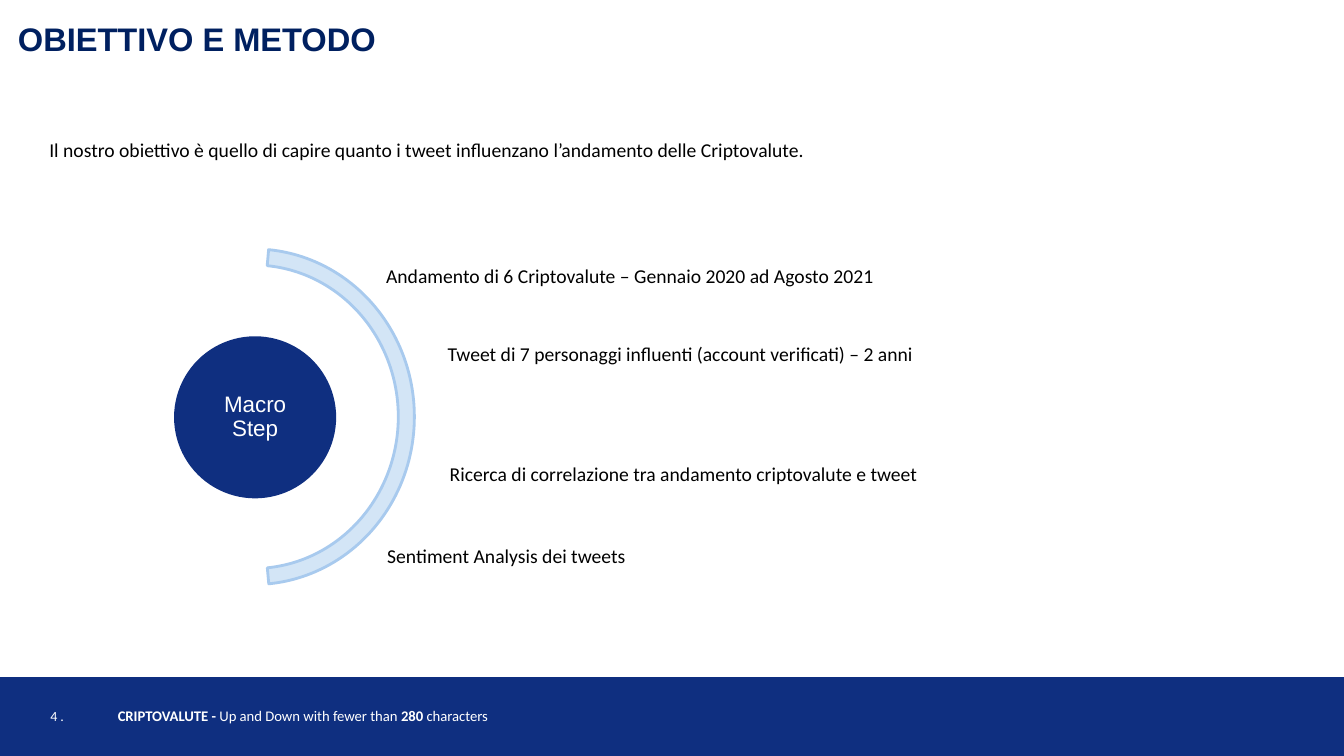
from pptx import Presentation, util as u
from pptx.dml.color import RGBColor
from pptx.enum import shapes, text

NAVY, WHITE, BLACK = "0F2F80", "FFFFFF", "000000"
MIDDLE, TOP = text.MSO_ANCHOR.MIDDLE, text.MSO_ANCHOR.TOP
LEFT, CENTER = text.PP_ALIGN.LEFT, text.PP_ALIGN.CENTER

deck = Presentation()
deck.slide_width, deck.slide_height = u.Inches(13.33), u.Inches(7.5)
slide = deck.slides.add_slide(deck.slide_layouts[6])


def color(value):
    return RGBColor.from_string(value)


def write(place, parts, size, ink=BLACK, font="Calibri", anchor=MIDDLE,
          align=LEFT, spacing=1.0, insets=(0.1, 0.05)):
    box = slide.shapes.add_textbox(*map(u.Inches, place))
    side, edge = map(u.Inches, insets)
    frame_format = {
        "word_wrap": True, "vertical_anchor": anchor,
        "margin_left": side, "margin_right": side,
        "margin_top": edge, "margin_bottom": edge,
    }
    for name, value in frame_format.items():
        setattr(box.text_frame, name, value)
    line = box.text_frame.paragraphs[0]
    line.alignment, line.line_spacing = align, spacing
    for words, bold in parts:
        run = line.add_run()
        run.text = words
        for name, value in {"name": font, "size": u.Pt(size), "bold": bold}.items():
            setattr(run.font, name, value)
        run.font.color.rgb = color(ink)


write((0.08, 0.09, 13.13, 0.65), [("OBIETTIVO E METODO", True)], 23.3,
      ink="002060", font="Arial", spacing=0.85)
write((0.39, 1.32, 9.41, 0.57),
      [("Il nostro obiettivo è quello di capire quanto i tweet influenzano "
        "l’andamento delle Criptovalute.", False)], 14, anchor=TOP)

kinds = shapes.MSO_SHAPE
for kind, place, fill, outline, weight, adjustments in [
    (kinds.RECTANGLE, (0, 6.72, 13.33, 0.78), NAVY, NAVY, 1, []),
    (kinds.OVAL, (1.74, 3.35, 1.58, 1.58), NAVY, NAVY, 2, []),
    (kinds.BLOCK_ARC, (0.92, 2.47, 3.19, 3.33), "D3E5F6", "A8CAEE", 2,
     [165.09, 50.88, 0.05]),
]:
    figure = slide.shapes.add_shape(kind, *map(u.Inches, place))
    figure.shadow.inherit = False
    figure.fill.solid()
    figure.fill.fore_color.rgb = color(fill)
    figure.line.color.rgb = color(outline)
    figure.line.width = u.Pt(weight)
    for index, value in enumerate(adjustments):
        figure.adjustments[index] = value

write((1.97, 3.58, 1.12, 1.12), [("Macro Step", False)], 16, ink=WHITE,
      font="Arial", align=CENTER, spacing=0.9, insets=(0.02, 0.02))

for place, step in [
    ((3.81, 2.34, 6.46, 0.82), "Andamento di 6 Criptovalute – Gennaio 2020 ad Agosto 2021"),
    ((4.42, 3.29, 5.87, 0.46), "Tweet di 7 personaggi influenti (account verificati) – 2 anni"),
    ((4.44, 4.32, 5.78, 0.78), "Ricerca di correlazione tra andamento criptovalute e tweet"),
    ((3.82, 5.12, 6.21, 0.82), "Sentiment Analysis dei tweets"),
]:
    write(place, [(step, False)], 14, spacing=0.9, insets=(0.02, 0.02))

write((1.07, 6.9, 4.5, 0.4),
      [("CRIPTOVALUTE - ", True), ("Up and Down with fewer than ", False),
       ("280", True), (" characters", False)], 10.5, ink=WHITE)
write((0.4, 6.9, 0.52, 0.4), [("4 .", False)], 10, ink=WHITE)

deck.save("out.pptx")
